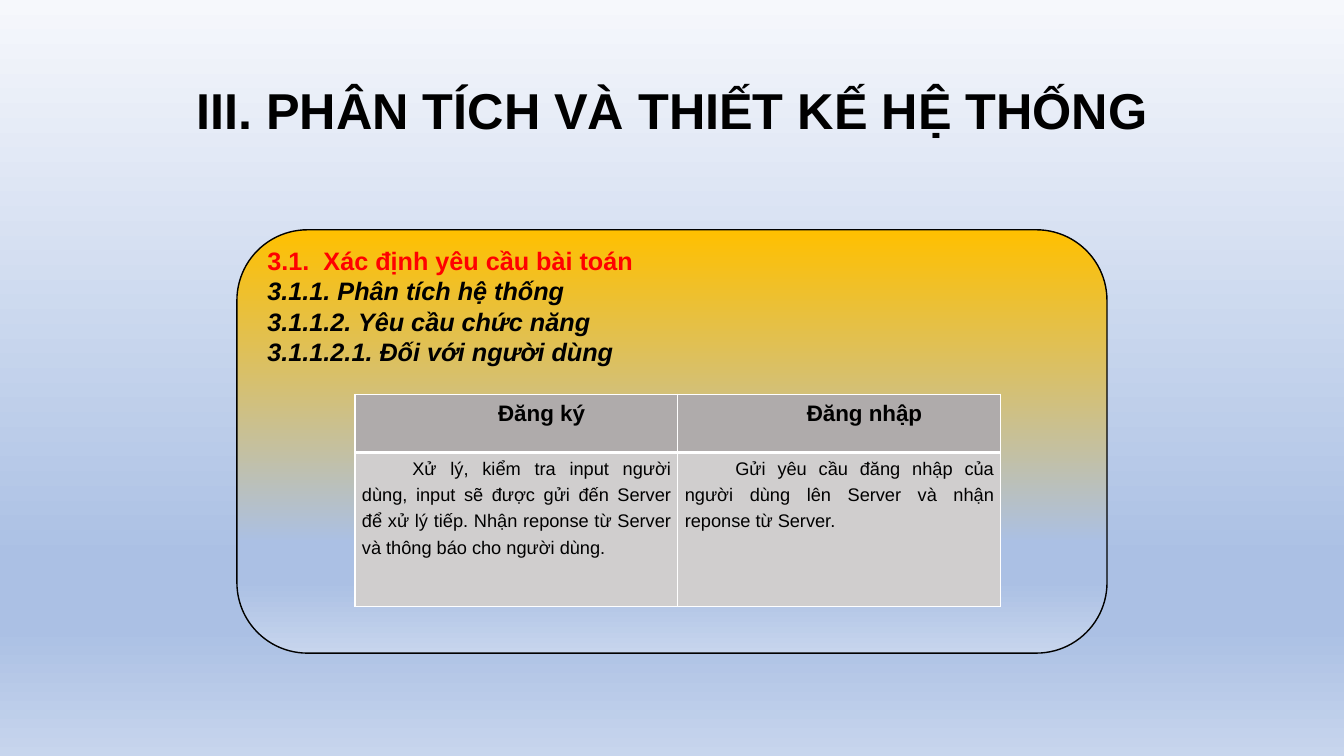
from lxml import etree
from pptx import Presentation
from pptx import util as u
from pptx.dml.color import RGBColor
from pptx.enum import shapes, text
from pptx.oxml.ns import qn

COLORS = {
    "ink": "000000", "red": "FF0000", "white": "FFFFFF",
    "pale": "F6F8FC", "gold": "FFC000", "blue": "ABC0E4", "mist": "C7D5ED",
    "header": "AFABAB", "body": "D0CECE",
}
FONT = "Arial"
ALIGN = text.PP_ALIGN

HEADINGS = [
    "3.1.  Xác định yêu cầu bài toán",
    "3.1.1. Phân tích hệ thống",
    "3.1.1.2. Yêu cầu chức năng",
    "3.1.1.2.1. Đối với người dùng",
]
FEATURES = [
    ["Đăng ký", "Đăng nhập"],
    ["Xử lý, kiểm tra input người dùng, input sẽ được gửi đến Server để xử lý tiếp. "
     "Nhận reponse từ Server và thông báo cho người dùng.",
     "Gửi yêu cầu đăng nhập của người dùng lên Server và nhận reponse từ Server."],
]


def rgb(name):
    return RGBColor.from_string(COLORS[name])


class Deck:
    def __init__(self, width, height):
        self.prs = Presentation()
        self.prs.slide_width, self.prs.slide_height = u.Inches(width), u.Inches(height)
        self.s = self.prs.slides.add_slide(self.prs.slide_layouts[6])

    def place(self, left, top, width, height):
        """Turn percentages of the slide into lengths."""
        w, h = self.prs.slide_width, self.prs.slide_height
        return [int(share * side / 100)
                for share, side in zip((left, top, width, height), (w, h, w, h))]

    def style(self, p, size, color="ink", bold=True, italic=False, align=ALIGN.LEFT):
        p.alignment = align
        for r in p.runs:
            f = r.font
            f.name, f.size, f.bold, f.italic = FONT, u.Pt(size), bold, italic
            f.color.rgb = rgb(color)

    def gradient(self, owner, fill, first):
        """Fill downwards from the first colour into the shared blues."""
        fill.gradient()
        fill.gradient_angle = 270
        stops = owner.element.find(".//" + qn("a:gsLst"))
        for stop in list(stops):
            stops.remove(stop)
        for pos, name in ((0, first), (74, "blue"), (83, "blue"), (100, "mist")):
            gs = etree.SubElement(stops, qn("a:gs"), pos=str(pos * 1000))
            etree.SubElement(gs, qn("a:srgbClr"), val=COLORS[name])

    def background(self, first):
        self.gradient(self.s, self.s.background.fill, first)

    def title(self, words, at):
        tf = self.s.shapes.add_textbox(*self.place(*at)).text_frame
        tf.word_wrap = True
        tf.vertical_anchor = text.MSO_ANCHOR.MIDDLE
        tf.text = words
        p = tf.paragraphs[0]
        p.line_spacing = 0.9
        self.style(p, 36, align=ALIGN.CENTER)

    def panel(self, lines, at):
        sp = self.s.shapes.add_shape(shapes.MSO_SHAPE.ROUNDED_RECTANGLE, *self.place(*at))
        sp.shadow.inherit = False
        self.gradient(sp, sp.fill, "gold")
        sp.line.color.rgb, sp.line.width = rgb("ink"), u.Pt(1)
        tf = sp.text_frame
        tf.word_wrap = True
        tf.vertical_anchor = text.MSO_ANCHOR.MIDDLE
        tf.margin_bottom = u.Inches(2.74)
        tf.text = "\n".join(lines)
        for i, p in enumerate(tf.paragraphs):
            self.style(p, 18, color="ink" if i else "red", italic=i > 0)

    def borders(self, cell, bottom):
        tc_pr = cell._tc.get_or_add_tcPr()
        for i, (side, width) in enumerate((("L", 1), ("R", 1), ("T", 1), ("B", bottom))):
            ln = etree.Element(qn("a:ln" + side), w=str(u.Pt(width)))
            fill = etree.SubElement(ln, qn("a:solidFill"))
            etree.SubElement(fill, qn("a:srgbClr"), val=COLORS["white"])
            tc_pr.insert(i, ln)

    def cell(self, cell, words, header):
        cell.fill.solid()
        cell.fill.fore_color.rgb = rgb("header" if header else "body")
        cell.margin_left = cell.margin_right = u.Inches(0.07)
        cell.margin_top = cell.margin_bottom = 0
        cell.text = words
        p = cell.text_frame.paragraphs[0]
        p.line_spacing, p.space_before, p.space_after = 1.3, u.Pt(6), u.Pt(6)
        p._p.get_or_add_pPr().set("indent", str(u.Inches(0.5)))
        self.style(p, 16 if header else 13, bold=header,
                   align=ALIGN.CENTER if header else ALIGN.JUSTIFY)
        self.borders(cell, bottom=3 if header else 1)

    def table(self, rows, at, heights):
        frame = self.s.shapes.add_table(len(rows), len(rows[0]), *self.place(*at))
        for i, row in enumerate(rows):
            frame.table.rows[i].height = u.Inches(heights[i])
            for j, words in enumerate(row):
                self.cell(frame.table.cell(i, j), words, header=i == 0)


def main():
    deck = Deck(13.33, 7.5)
    deck.background("pale")
    deck.title("III. PHÂN TÍCH VÀ THIẾT KẾ HỆ THỐNG", (6.9, 5.33, 86.27, 19.33))
    deck.panel(HEADINGS, (17.63, 30.4, 64.74, 56))
    deck.table(FEATURES, (26.41, 52.13, 48.05, 28.13), (0.58, 1.53))
    deck.prs.save("out.pptx")


if __name__ == "__main__":
    main()
